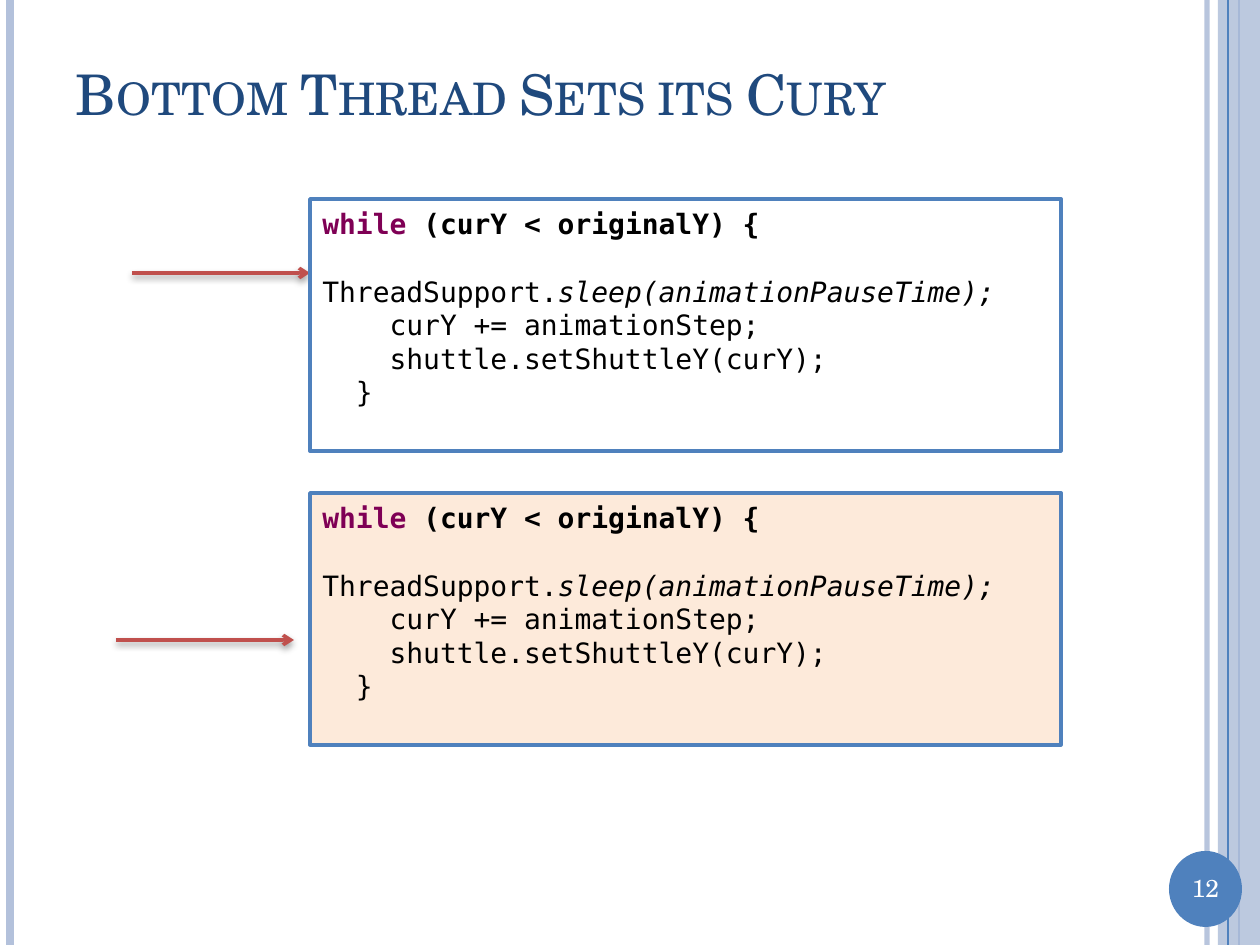
from dataclasses import dataclass

from lxml import etree
from pptx import Presentation
from pptx import util as u
from pptx.dml.color import RGBColor
from pptx.enum import shapes, text
from pptx.oxml.ns import qn

PX = 914400 / 126
SERIF, MONO = "TeX Gyre Schola", "DejaVu Sans Mono"
HUES = {
    "pale": "B3C1DB", "blue": "4F81BD", "navy": "1F497D", "red": "C0504D",
    "peach": "FDEADA", "white": "FFFFFF", "black": "000000", "key": "7F0055",
}


@dataclass
class Run:
    words: str
    hue: str = "black"
    bold: bool = False
    slant: bool = False


@dataclass
class Rule:
    x: int
    hue: str
    width: float
    alpha: int = 100


@dataclass
class Panel:
    top: int
    fill: str


@dataclass
class Arrow:
    left: int
    y: int


RULES = [Rule(1207, "pale", 3, 93), Rule(10, "pale", 4.5), Rule(1239, "blue", 1.5)]
INNER = Rule(1228, "blue", 0.75)
UPPER, LOWER = Panel(199, "white"), Panel(493, "peach")
FIRST, SECOND = Arrow(132, 273), Arrow(116, 640)
CODE = [
    [Run("while ", "key", bold=True), Run("(curY < originalY) {", bold=True)],
    [Run("    ThreadSupport."), Run("sleep(animationPauseTime);", slant=True)],
    [Run("    curY += animationStep;")],
    [Run("    shuttle.setShuttleY(curY);")],
    [Run("  }")],
]


def px(count: int) -> u.Emu:
    return u.Emu(round(count * PX))


def rgb(hue: str) -> RGBColor:
    return RGBColor.from_string(HUES[hue])


def fade(node, alpha: int) -> None:
    """Make the solid colour under a node partly transparent."""
    if alpha < 100:
        tint = node.find(".//" + qn("a:srgbClr"))
        etree.SubElement(tint, qn("a:alpha"), val=str(alpha * 1000))


def add_run(para, run: Run, font: str, size: int):
    part = para.add_run()
    part.text = run.words
    part.font.name, part.font.size = font, u.Pt(size)
    part.font.bold, part.font.italic = run.bold, run.slant
    part.font.color.rgb = rgb(run.hue)
    return part


def add_line(slide, start: tuple, end: tuple, hue: str, width: float):
    line = slide.shapes.add_connector(
        shapes.MSO_CONNECTOR.STRAIGHT, *map(px, start + end))
    line.line.color.rgb = rgb(hue)
    line.line.width = u.Pt(width)
    effect = etree.SubElement(line._element.spPr, qn("a:effectLst"))
    return line, effect


def add_rule(slide, rule: Rule) -> None:
    line, _ = add_line(slide, (rule.x, 0), (rule.x, 945), rule.hue, rule.width)
    fade(line.line._ln, rule.alpha)


def add_arrow(slide, arrow: Arrow) -> None:
    """Draw a red pointer with an open head and a soft shadow."""
    line, effect = add_line(
        slide, (arrow.left, arrow.y), (arrow.left + 178, arrow.y), "red", 2)
    etree.SubElement(line.line._ln, qn("a:tailEnd"), type="arrow")
    shade = etree.SubElement(
        effect, qn("a:outerShdw"), blurRad=str(u.Pt(4)), dist=str(u.Pt(2)),
        dir="5400000", rotWithShape="0")
    etree.SubElement(shade, qn("a:srgbClr"), val=HUES["black"])
    fade(shade, 40)


def add_form(slide, kind, box: tuple, fill: str, alpha: int = 100):
    form = slide.shapes.add_shape(kind, *map(px, box))
    form.shadow.inherit = False
    form.fill.solid()
    form.fill.fore_color.rgb = rgb(fill)
    fade(form._element.spPr, alpha)
    form.line.fill.background()
    return form


def add_panel(slide, panel: Panel) -> None:
    form = add_form(slide, shapes.MSO_SHAPE.RECTANGLE,
                    (310, panel.top, 751, 252), panel.fill)
    form.line.color.rgb = rgb("blue")
    form.line.width = u.Pt(2)
    frame = form.text_frame
    frame.word_wrap = True
    frame.vertical_anchor = text.MSO_ANCHOR.TOP
    frame.margin_top = px(8)
    for row, runs in enumerate(CODE):
        para = frame.add_paragraph() if row else frame.paragraphs[0]
        para.alignment = text.PP_ALIGN.LEFT
        for run in runs:
            add_run(para, run, MONO, 16)


def add_frame(slide) -> None:
    """Draw the side bands and the page number."""
    for rule in RULES:
        add_rule(slide, rule)
    add_form(slide, shapes.MSO_SHAPE.RECTANGLE, (1218, 0, 42, 945), "pale", 87)
    add_rule(slide, INNER)
    add_form(slide, shapes.MSO_SHAPE.OVAL, (1169, 851, 73, 76), "blue")
    label = slide.shapes.add_textbox(*map(px, (1169, 867, 73, 43)))
    label.text_frame.word_wrap = True
    para = label.text_frame.paragraphs[0]
    para.alignment = text.PP_ALIGN.CENTER
    add_run(para, Run("12", "white"), SERIF, 14)


def set_title(slide) -> None:
    title = slide.shapes.title
    title.left, title.top, title.width, title.height = map(px, (63, 38, 1092, 110))
    frame = title.text_frame
    frame.auto_size = text.MSO_AUTO_SIZE.NONE
    frame.vertical_anchor = text.MSO_ANCHOR.MIDDLE
    para = frame.paragraphs[0]
    para.alignment = text.PP_ALIGN.LEFT
    part = add_run(para, Run("Bottom Thread Sets its Cury", "navy"), SERIF, 32)
    part.font._element.set("cap", "small")


def main() -> None:
    deck = Presentation()
    deck.slide_width, deck.slide_height = px(1260), px(945)
    slide = deck.slides.add_slide(deck.slide_layouts[5])
    add_frame(slide)
    set_title(slide)
    add_arrow(slide, FIRST)
    add_panel(slide, LOWER)
    add_panel(slide, UPPER)
    add_arrow(slide, SECOND)
    deck.save("out.pptx")


if __name__ == "__main__":
    main()
